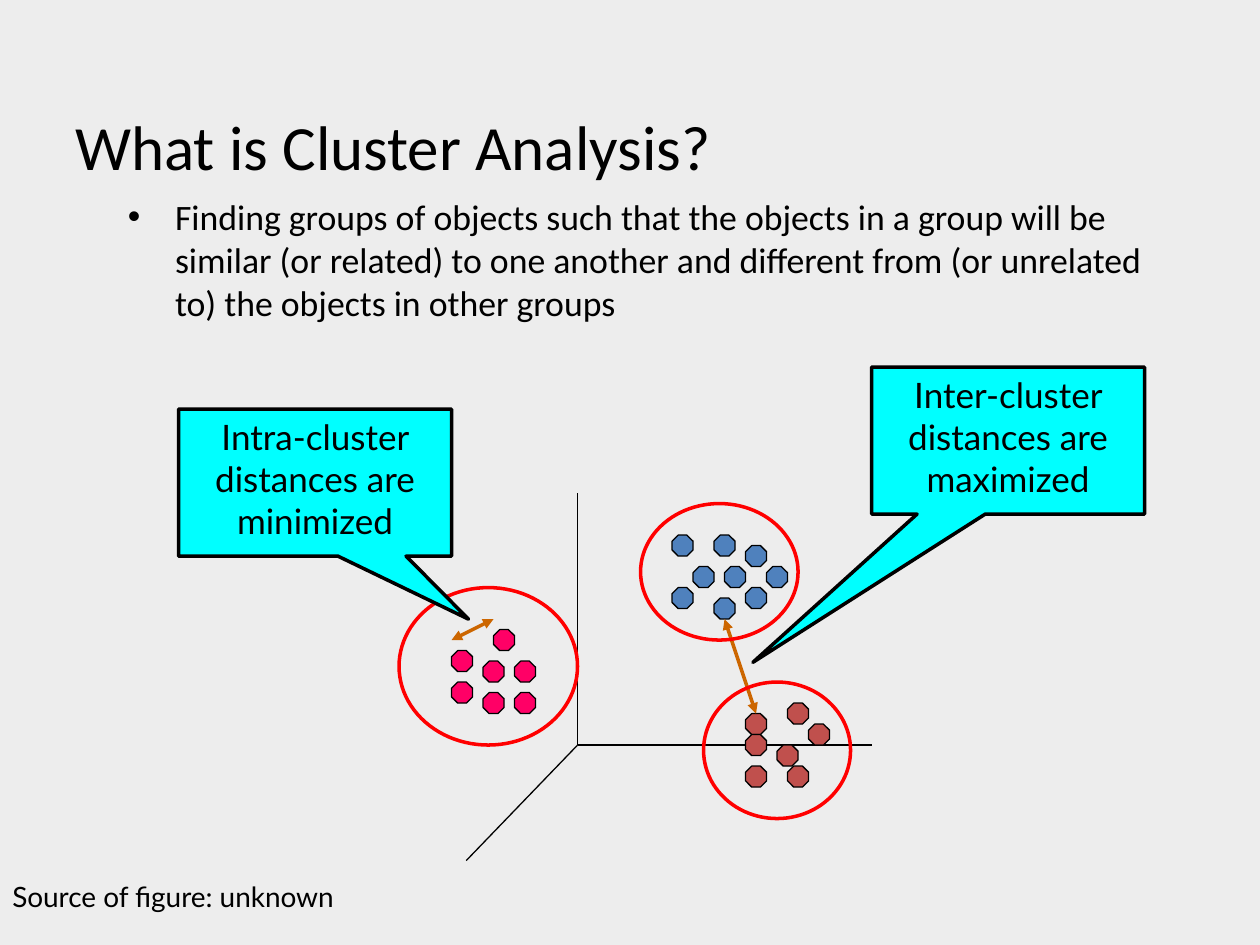
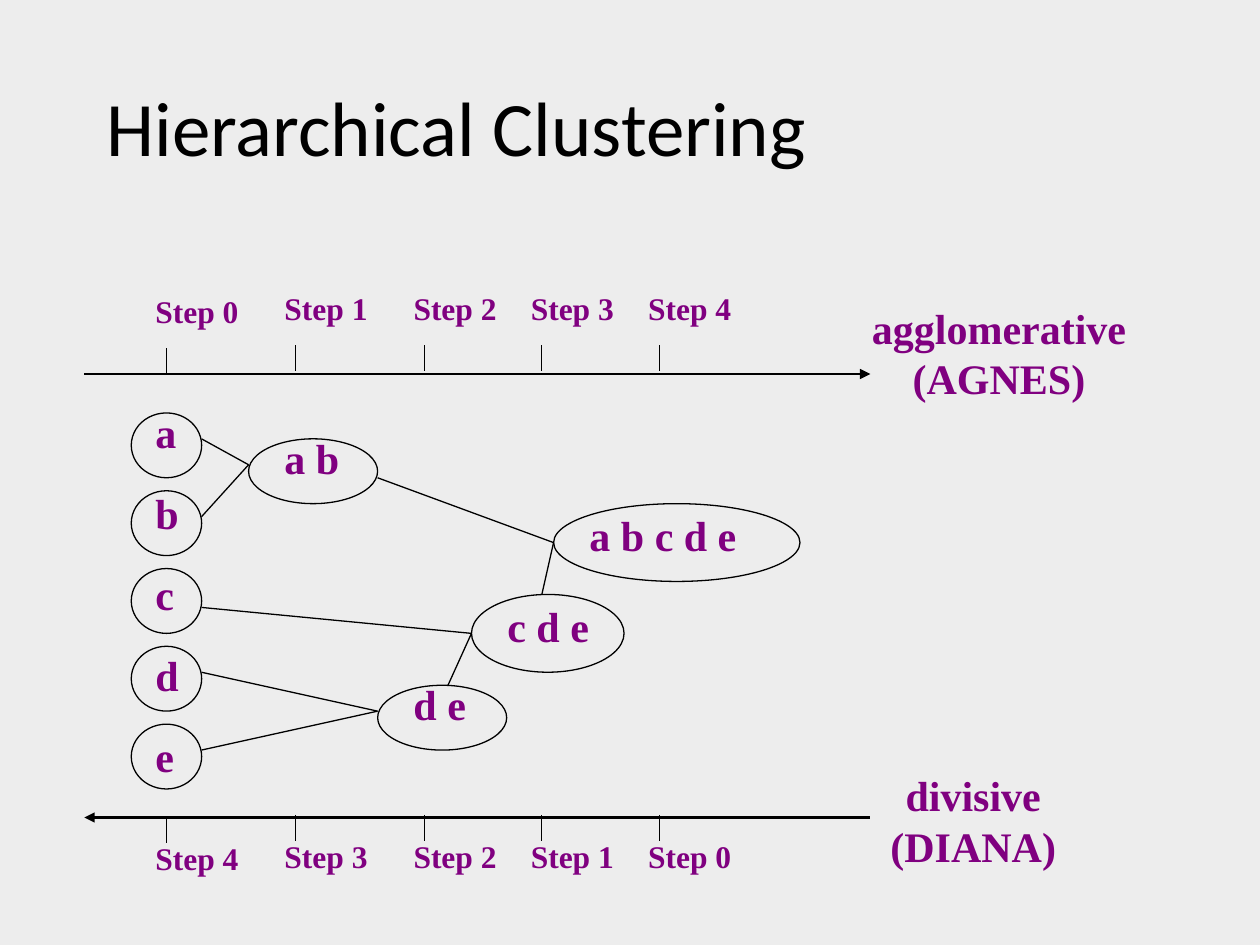
from dataclasses import dataclass

from lxml import etree
from pptx import Presentation
from pptx.dml.color import RGBColor
from pptx.enum.shapes import MSO_CONNECTOR, MSO_SHAPE
from pptx.enum.text import MSO_ANCHOR, PP_ALIGN
from pptx.oxml.ns import qn
from pptx.util import Cm, Pt

STRAIGHT = MSO_CONNECTOR.STRAIGHT
OCTAGON = MSO_SHAPE.OCTAGON
ELLIPSE = MSO_SHAPE.OVAL
CALLOUT = MSO_SHAPE.RECTANGULAR_CALLOUT
TOP, BOTTOM = MSO_ANCHOR.TOP, MSO_ANCHOR.BOTTOM
LEFT, CENTER = PP_ALIGN.LEFT, PP_ALIGN.CENTER


@dataclass(frozen=True)
class TextStyle:
    font: str
    size: float
    color: str = "000000"
    bold: bool = False


@dataclass(frozen=True)
class Theme:
    background: str = "EDEDED"
    ink: str = "000000"
    ring: str = "FF0000"
    distance: str = "CC6600"
    callout: str = "00FFFF"
    blue_cluster: str = "4F81BD"
    pink_cluster: str = "FF0066"
    red_cluster: str = "C0504D"
    thin: float = 0.75
    medium: float = 1.5
    thick: float = 2
    title: TextStyle = TextStyle("Calibri", 36)
    large_title: TextStyle = TextStyle("Calibri", 44)
    body: TextStyle = TextStyle("Calibri", 20.4)
    callout_text: TextStyle = TextStyle("Lato", 20)
    source: TextStyle = TextStyle("Lato", 16)
    step: TextStyle = TextStyle("Times New Roman", 18, "800080", True)
    node: TextStyle = TextStyle("Times New Roman", 24, "800080", True)


@dataclass(frozen=True)
class Grid:
    left: float
    top: float
    cell_width: float
    cell_height: float

    def point(self, column, row):
        return (Cm(self.left + column * self.cell_width),
                Cm(self.top + row * self.cell_height))

    def area(self, column, row, columns, rows):
        return (*self.point(column, row),
                Cm(columns * self.cell_width), Cm(rows * self.cell_height))


THEME = Theme()
PAGE = Grid(0, 0, 1, 1)
SCATTER = Grid(3.6, 7.4, 25.4 / 120, 25.4 / 120)
TREE = Grid(1.7, 7.54, 0.2365, 0.2614)


def write(shape, text, style, align=LEFT, anchor=TOP):
    frame = shape.text_frame
    frame.word_wrap = True
    frame.vertical_anchor = anchor
    frame.text = text
    for paragraph in frame.paragraphs:
        paragraph.alignment = align
        for run in paragraph.runs:
            run.font.name = style.font
            run.font.size = Pt(style.size)
            run.font.bold = style.bold
            run.font.color.rgb = RGBColor.from_string(style.color)


def add_text(slide, area, text, style, align=LEFT, anchor=TOP):
    box = slide.shapes.add_textbox(*area)
    write(box, text, style, align, anchor)
    return box


def add_outline(slide, kind, area, color=THEME.ink, width=THEME.thin, fill=None):
    shape = slide.shapes.add_shape(kind, *area)
    shape.shadow.inherit = False
    if fill:
        shape.fill.solid()
        shape.fill.fore_color.rgb = RGBColor.from_string(fill)
    else:
        shape.fill.background()
    shape.line.color.rgb = RGBColor.from_string(color)
    shape.line.width = Pt(width)
    return shape


def add_line(slide, start, end, color=THEME.ink, width=THEME.thin, arrows=()):
    connector = slide.shapes.add_connector(STRAIGHT, *start, *end)
    connector.line.color.rgb = RGBColor.from_string(color)
    connector.line.width = Pt(width)
    line = connector.line._get_or_add_ln()
    for arrow in arrows:
        etree.SubElement(line, qn(f"a:{arrow}"), type="triangle")
    etree.SubElement(connector._element.spPr, qn("a:effectLst"))


def add_bullet(paragraph, indent):
    properties = paragraph._p.get_or_add_pPr()
    properties.set("marL", str(indent))
    properties.set("indent", str(-indent))
    color = etree.SubElement(properties, qn("a:buClr"))
    etree.SubElement(color, qn("a:srgbClr"), val=THEME.ink)
    etree.SubElement(properties, qn("a:buFont"), typeface="Arial")
    etree.SubElement(properties, qn("a:buChar"), char="•")


def add_callout(slide, area, text, tip):
    shape = add_outline(slide, CALLOUT, area, width=THEME.thick, fill=THEME.callout)
    shape.adjustments[0], shape.adjustments[1] = tip
    write(shape, text, THEME.callout_text, CENTER)


def add_distance(slide, grid, start, end):
    add_line(slide, grid.point(*start), grid.point(*end), THEME.distance,
             THEME.thick, ("headEnd", "tailEnd"))


def add_scatter(slide, grid):
    origin = (38, 36)
    for axis_end in ((38, 12), (66, 36), (27.4, 47)):
        add_line(slide, grid.point(*origin), grid.point(*axis_end))

    clusters = {
        THEME.blue_cluster: ((49, 19), (52, 19), (51, 16), (51, 22), (56, 19),
                             (54, 17), (47, 16), (54, 21), (47, 21)),
        THEME.pink_cluster: ((26, 27), (29, 28), (29, 31), (32, 28), (30, 25),
                             (32, 31), (26, 30)),
        THEME.red_cluster: ((54, 33), (60, 34), (57, 36), (54, 38), (58, 38),
                            (54, 35), (58, 32)),
    }
    for color, dots in clusters.items():
        for column, row in dots:
            add_outline(slide, OCTAGON, grid.area(column, row, 2, 2), fill=color)

    add_distance(slide, grid, (55, 33), (52, 24))
    add_callout(slide, grid.area(66, 0, 26, 14),
                "Inter-cluster distances are maximized", (-0.935, 1.509))
    for ring in ((21, 21, 17, 15), (44, 13, 15, 13), (50, 30, 14, 13)):
        add_outline(slide, ELLIPSE, grid.area(*ring), THEME.ring, THEME.thick)
    add_distance(slide, grid, (26, 26), (30, 24))
    add_callout(slide, grid.area(0, 4, 26, 14),
                "Intra-cluster distances are minimized", (0.562, 0.929))


def add_step_axis(slide, grid, row, steps, tick_shift, label_shift, arrow):
    add_line(slide, grid.point(0, row), grid.point(67, row),
             width=THEME.medium, arrows=(arrow,))
    for index, (column, step) in enumerate(zip((7, 18, 29, 39, 49), steps)):
        base = row - (0.2 if index else 0)
        tick = base + tick_shift
        add_line(slide, grid.point(column, tick), grid.point(column, tick + 2))
        add_text(slide, grid.area(column - 2, base + label_shift, 10, 3.9),
                 f"Step {step}", THEME.step)


def add_node(slide, grid, text, area, label_row, inset=2):
    column, row, columns, rows = area
    add_text(slide, grid.area(column + inset, label_row, columns - inset, 4.8),
             text, THEME.node)
    add_outline(slide, ELLIPSE, grid.area(*area))


def add_tree(slide, grid):
    for index, letter in enumerate("abcde"):
        add_node(slide, grid, letter, (4, 3 + 6 * index, 6, 5),
                 2 + 6.25 * index, inset=1)
    for text, area, label_row in (
        ("a b", (14, 5, 11, 5), 4),
        ("d e", (25, 24, 11, 5), 23),
        ("c d e", (33, 17, 13, 6), 17),
        ("a b c d e", (40, 10, 21, 6), 10),
    ):
        add_node(slide, grid, text, area, label_row)

    for start, end in (
        ((10, 5), (14, 7)), ((10, 11), (14, 7)),
        ((10, 23), (25, 26)), ((10, 29), (25, 26)),
        ((10, 18), (33, 20)), ((31, 24), (33, 20)),
        ((25, 8), (40, 13)), ((39, 17), (40, 13)),
    ):
        add_line(slide, grid.point(*start), grid.point(*end))


def add_cluster_slide(presentation):
    slide = presentation.slides.add_slide(presentation.slide_layouts[6])
    body = add_text(
        slide, PAGE.area(2.33, 3.81, 20.96, 3.43),
        "Finding groups of objects such that the objects in a group will be similar "
        "(or related) to one another and different from (or unrelated to) the objects "
        "in other groups", THEME.body)
    add_bullet(body.text_frame.paragraphs[0], Cm(0.95))
    add_text(slide, PAGE.area(1.27, 0.64, 22.86, 3.17),
             "What is Cluster Analysis?", THEME.title, anchor=BOTTOM)
    add_scatter(slide, SCATTER)
    add_text(slide, PAGE.area(0, 17.6, 14.6, 0.94),
             "Source of figure: unknown", THEME.source)


def add_hierarchy_slide(presentation):
    slide = presentation.slides.add_slide(presentation.slide_layouts[6])
    add_step_axis(slide, TREE, 0, range(5), -2, -6.8, "tailEnd")
    add_tree(slide, TREE)
    add_step_axis(slide, TREE, 34.2, range(4, -1, -1), 0, 1.2, "headEnd")
    add_text(slide, PAGE.area(17.32, 5.97, 5.64, 2.29),
             "agglomerative\n(AGNES)", THEME.node, CENTER)
    add_text(slide, PAGE.area(17.7, 15.39, 3.84, 2.29),
             "divisive\n(DIANA)", THEME.node, CENTER)
    add_text(slide, PAGE.area(1.9, 1.47, 20.96, 2.13),
             "Hierarchical Clustering", THEME.large_title)


def main():
    presentation = Presentation()
    presentation.slide_width = Cm(25.4)
    presentation.slide_height = Cm(19.05)
    background = presentation.slide_master.background.fill
    background.solid()
    background.fore_color.rgb = RGBColor.from_string(THEME.background)
    add_cluster_slide(presentation)
    add_hierarchy_slide(presentation)
    presentation.save("out.pptx")


if __name__ == "__main__":
    main()
